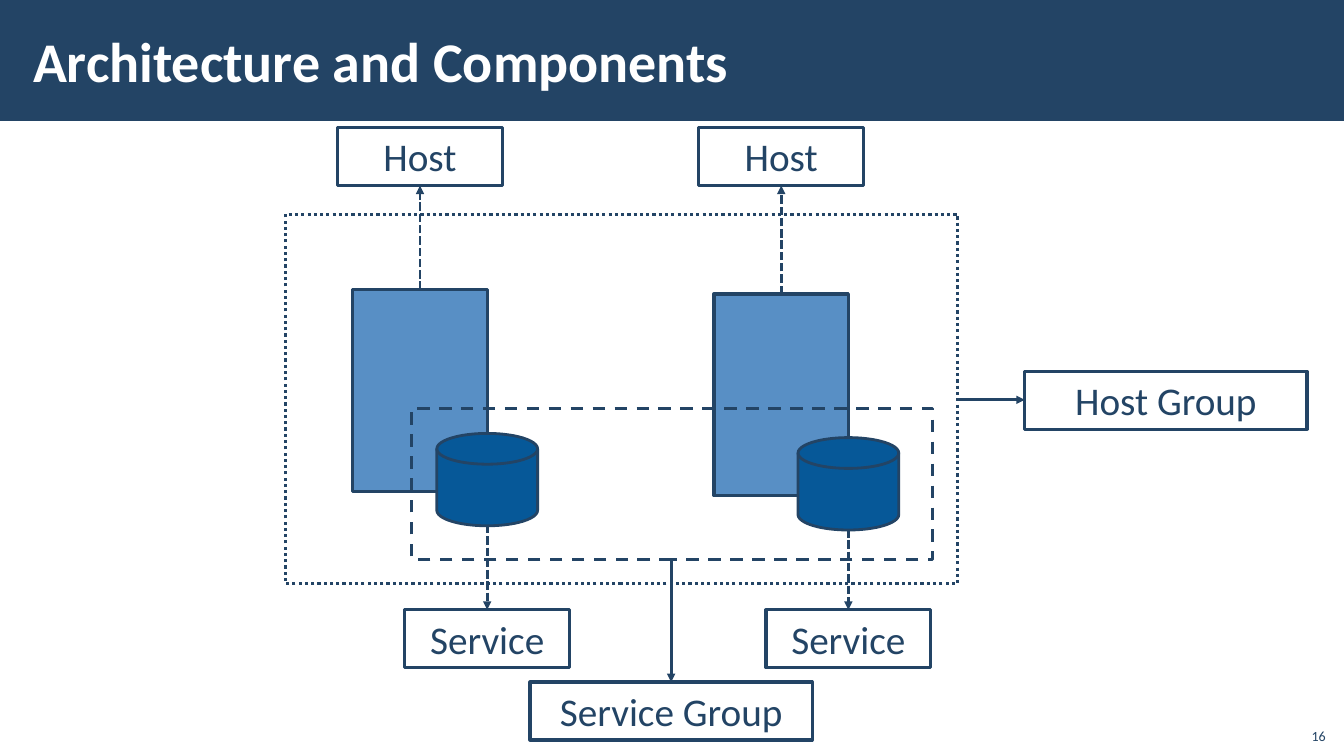
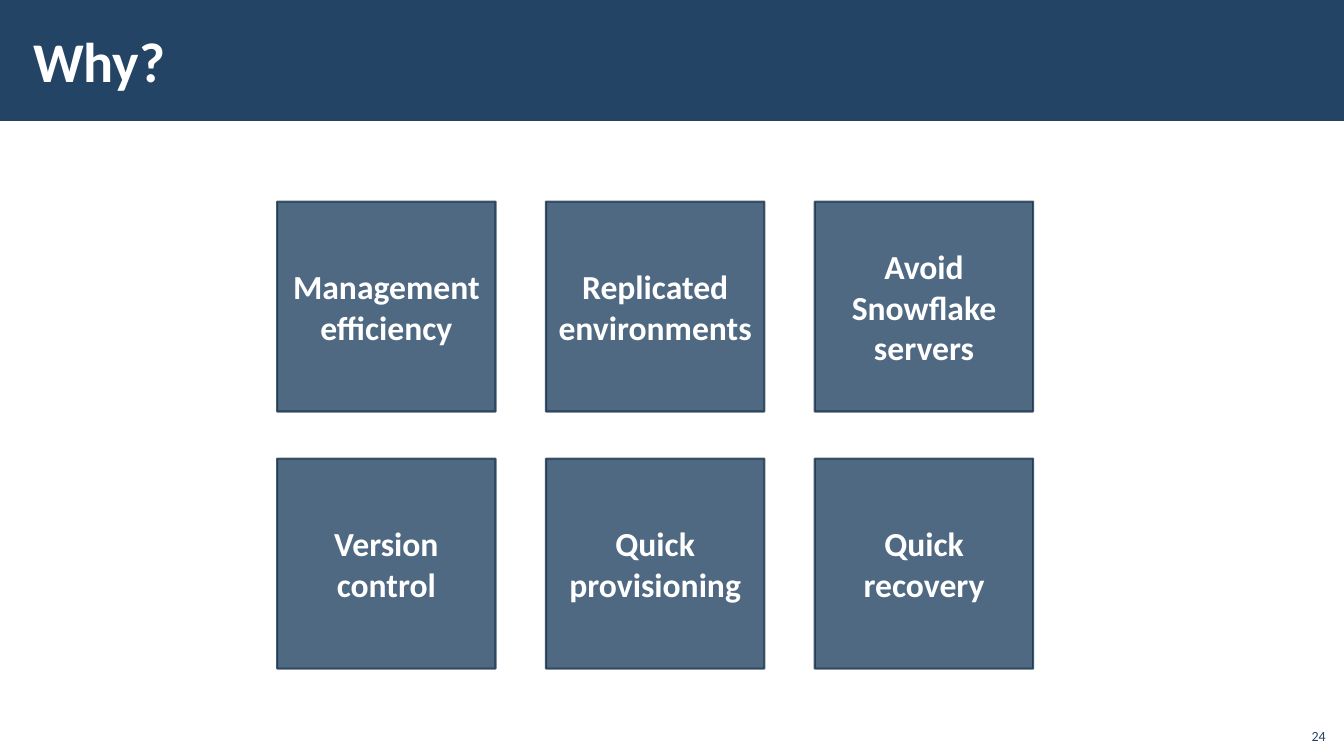
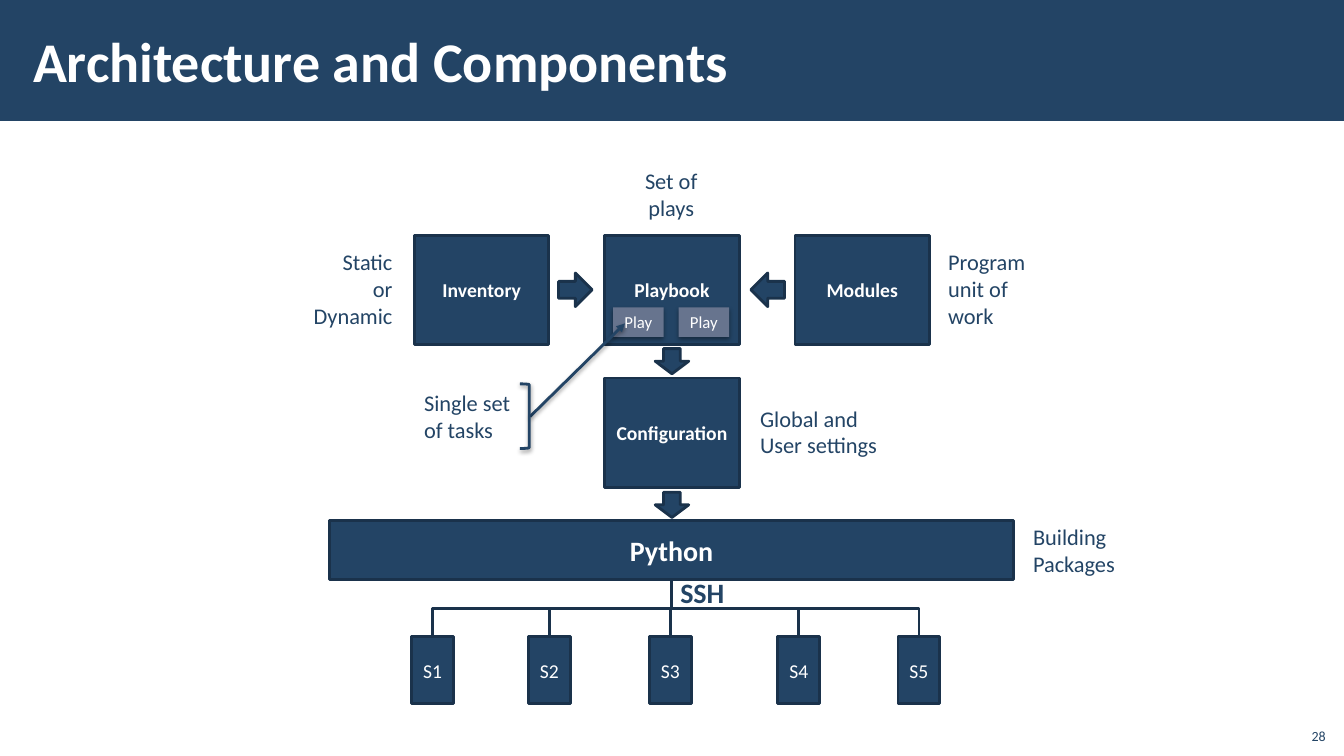
import lxml.etree
import pptx
import pptx.dml.color
import pptx.enum.dml
import pptx.enum.shapes
import pptx.enum.text
import pptx.oxml.ns
import pptx.util

SHAPE = pptx.enum.shapes.MSO_SHAPE
CONNECTOR = pptx.enum.shapes.MSO_CONNECTOR
DASH = pptx.enum.dml.MSO_LINE
ALIGN = pptx.enum.text.PP_ALIGN
ANCHOR = pptx.enum.text.MSO_ANCHOR
rgb = pptx.dml.color.RGBColor.from_string
qn = pptx.oxml.ns.qn
add_element = lxml.etree.SubElement

NAVY, DEEP_NAVY, SLATE_NAVY = "234465", "1A324B", "1A334C"
SKY, BLUE, GREY, WHITE = "588FC5", "065898", "67748E", "FFFFFF"
FONT = "Calibri"
COLUMNS, ROWS = 160, 90

presentation = pptx.Presentation()
presentation.slide_width = pptx.util.Inches(13.33)
presentation.slide_height = pptx.util.Inches(7.5)
column = presentation.slide_width / COLUMNS
row = presentation.slide_height / ROWS


def write(shape, text, size=16, color=NAVY, bold=False, align=ALIGN.LEFT,
          anchor=ANCHOR.TOP, wrap=True):
    frame = shape.text_frame
    frame.text = text
    frame.word_wrap = wrap
    frame.vertical_anchor = anchor
    for paragraph in frame.paragraphs:
        paragraph.alignment = align
        font = paragraph.runs[0].font
        font.name, font.size, font.bold = FONT, pptx.util.Pt(size), bold
        font.color.rgb = rgb(color)


def draw(slide, kind, box, fill=None, line=None, width=2, dash=None,
         arrow=False, opacity=100, shadow=False):
    """Add a shape, a text box (kind None) or a connector.

    box is in grid units: left, top, width, height, or for a connector
    the x and y of its two ends.
    """
    place = [int(value * unit) for value, unit in zip(box, (column, row) * 2)]
    is_connector = isinstance(kind, CONNECTOR)
    if is_connector:
        shape = slide.shapes.add_connector(kind, *place)
    elif kind is None:
        shape = slide.shapes.add_textbox(*place)
    else:
        shape = slide.shapes.add_shape(kind, *place)
    if fill:
        shape.fill.solid()
        shape.fill.fore_color.rgb = rgb(fill)
    elif not is_connector:
        shape.fill.background()
    if line:
        shape.line.color.rgb = rgb(line)
        shape.line.width = pptx.util.Pt(width)
        if dash:
            shape.line.dash_style = dash
    else:
        shape.line.fill.background()

    properties = shape.element.spPr
    if arrow:
        add_element(properties.find(qn("a:ln")), qn("a:tailEnd"), type="triangle")
    if opacity < 100:
        for color in list(properties.iter(qn("a:srgbClr"))):
            add_element(color, qn("a:alpha"), val=str(opacity * 1000))
    effects = add_element(properties, qn("a:effectLst"))
    if shadow:
        outer = add_element(effects, qn("a:outerShdw"), blurRad="40000",
                            dist="20000", dir="5400000", rotWithShape="0")
        color = add_element(outer, qn("a:srgbClr"), val="000000")
        add_element(color, qn("a:alpha"), val="38000")
    return shape


# Shared title position, title bars and page numbers
layout = presentation.slide_layouts[5]
layout_title = layout.placeholders[0]
layout_title.left, layout_title.top = int(2.5 * column), int(1.3 * row)
layout_title.width, layout_title.height = int(127.6 * column), int(11.6 * row)

slides = []
for title, number in (("Architecture and Components", "16"), ("Why?", "24"),
                      ("Architecture and Components", "28")):
    slide = presentation.slides.add_slide(layout)
    slides.append(slide)
    write(slide.shapes.title, title, size=40, color=WHITE, bold=True,
          anchor=ANCHOR.MIDDLE)
    frame = slide.shapes.title.text_frame
    frame.margin_left = frame.margin_right = pptx.util.Inches(0.12)
    frame.margin_top = frame.margin_bottom = pptx.util.Inches(0.04)
    write(draw(slide, None, (154.2, 85.4, 4.8, 3.8)), number, size=10,
          align=ALIGN.RIGHT, anchor=ANCHOR.BOTTOM)
host_slide, why_slide, playbook_slide = slides

band = draw(host_slide, SHAPE.RECTANGLE, (0, 0, COLUMNS, 14.4), fill=NAVY)
layout.shapes.element.insert(2, band.element)

# Hosts and services
for x, drop in ((42, 0), (85, 0.5)):
    draw(host_slide, SHAPE.RECTANGLE, (x, 34.5 + drop, 16, 24), SKY, NAVY, 2.25)
    draw(host_slide, SHAPE.FLOWCHART_MAGNETIC_DISK, (x + 10, 51.6 + drop, 12, 11),
         BLUE, NAVY)
    for center, start, end in ((x + 8, 34.5 + drop, 22.1),
                               (x + 16, 62.5 + drop, 72.6)):
        draw(host_slide, CONNECTOR.STRAIGHT, (center, start, center, end),
             line=NAVY, dash=DASH.SQUARE_DOT, arrow=True)
        # python-pptx calls the sysDash preset SQUARE_DOT's neighbour
        host_slide.shapes[-1].line.dash_style = DASH.SQUARE_DOT

for box, dash in (((34, 25.5, 80, 44), DASH.ROUND_DOT),
                  ((49, 48.6, 62, 18), DASH.DASH)):
    draw(host_slide, SHAPE.RECTANGLE, box, line=NAVY, width=2.25, dash=dash)

for text, x, y, width in (("Host", 40.2, 15.2, 19.6), ("Host", 83.2, 15.2, 19.6),
                          ("Service", 48.2, 72.6, 19.6),
                          ("Service", 91.2, 72.6, 19.6),
                          ("Host Group", 122, 44.2, 33.6),
                          ("Service Group", 63.1, 81.2, 33.6)):
    label = draw(host_slide, SHAPE.RECTANGLE, (x, y, width, 6.9), line=NAVY, width=2.25)
    write(label, text, size=28, align=ALIGN.CENTER)

for ends in ((79.9, 66.6, 79.9, 81.2), (114, 47.6, 122, 47.6)):
    draw(host_slide, CONNECTOR.STRAIGHT, ends, line=NAVY, arrow=True)

# Reasons, three to a row
reasons = ("Management efficiency", "Replicated environments",
           "Avoid Snowflake servers", "Version control",
           "Quick provisioning", "Quick recovery")
for index, reason in enumerate(reasons):
    down, across = divmod(index, 3)
    tile = draw(why_slide, SHAPE.RECTANGLE, (33 + 32 * across, 24 + 30.6 * down, 26, 25),
                NAVY, SLATE_NAVY, 1.5, opacity=80)
    write(tile, reason, size=24, color=WHITE, bold=True, align=ALIGN.CENTER,
          anchor=ANCHOR.MIDDLE)

# Playbook flow
for kind, box in ((SHAPE.RIGHT_ARROW, (66.5, 32.5, 4, 4)),
                  (SHAPE.LEFT_ARROW, (89.4, 32.5, 4, 4)),
                  (SHAPE.DOWN_ARROW, (78, 41.5, 4, 3)),
                  (SHAPE.DOWN_ARROW, (78, 58.6, 4, 3))):
    draw(playbook_slide, kind, box, NAVY, DEEP_NAVY)

blocks = [("Configuration", (72, 45, 16, 13), 14, True),
          ("Inventory", (49.35, 28, 16, 13), 14, True),
          ("Playbook", (72, 28, 16, 13), 14, True),
          ("Modules", (94.65, 28, 16, 13), 14, True),
          ("Python", (39.2, 62, 81.5, 7), 20, True)]

# Each server hangs from the Python bar by an elbow turned a quarter
trunk, bar_bottom, server_top = 79.9, 69, 75.8
drop, middle_y = server_top - bar_bottom, (bar_bottom + server_top) / 2
for number, center in enumerate((51.5, 65.4, 79.8, 95.1, 109.4), start=1):
    blocks.append((f"S{number}", (center - 2.5, server_top, 5, 8), 14, False))
    side = 1 if center < trunk else -1
    middle_x, reach = (trunk + center) / 2, abs(center - trunk)
    elbow = draw(playbook_slide, CONNECTOR.ELBOW,
                 (middle_x - side * drop / 2, middle_y - reach / 2,
                  middle_x + side * drop / 2, middle_y + reach / 2), line=DEEP_NAVY)
    angle = 90 if side == 1 else 270
    elbow.element.spPr.find(qn("a:xfrm")).set("rot", str(angle * 60000))

for text, box, size, bold in blocks:
    block = draw(playbook_slide, SHAPE.RECTANGLE, box, NAVY, DEEP_NAVY)
    write(block, text, size=size, color=WHITE, bold=bold, align=ALIGN.CENTER,
          anchor=ANCHOR.MIDDLE)

for x in (73, 80.8):
    play = draw(playbook_slide, SHAPE.RECTANGLE, (x, 36.6, 6, 3.5), GREY, shadow=True)
    write(play, "Play", size=12, color=WHITE, align=ALIGN.CENTER, anchor=ANCHOR.MIDDLE)

write(draw(playbook_slide, None, (79.8, 67.9, 7.8, 5.3)), "SSH", size=20, bold=True,
      wrap=False)
for text, box, align in (
        ("Static\nor\nDynamic", (35.2, 29, 12.7, 10.9), ALIGN.RIGHT),
        ("Set of plays", (75.4, 19.3, 9, 7.7), ALIGN.CENTER),
        ("Program unit of work", (111.7, 29, 14.3, 10.9), ALIGN.LEFT),
        ("Global and User settings", (89.3, 47.6, 16.6, 7.7), ALIGN.LEFT),
        ("Building Packages", (121.8, 61.7, 12.6, 7.7), ALIGN.LEFT),
        ("Single set of tasks", (49.3, 45.7, 13.8, 7.7), ALIGN.LEFT)):
    write(draw(playbook_slide, None, box), text, align=align)

draw(playbook_slide, CONNECTOR.STRAIGHT, (63.1, 49.6, 74.4, 38.5), line=NAVY,
     arrow=True, shadow=True)
draw(playbook_slide, SHAPE.RIGHT_BRACKET, (61.9, 45.7, 1.1, 7.7), line=NAVY, shadow=True)

presentation.save("out.pptx")
